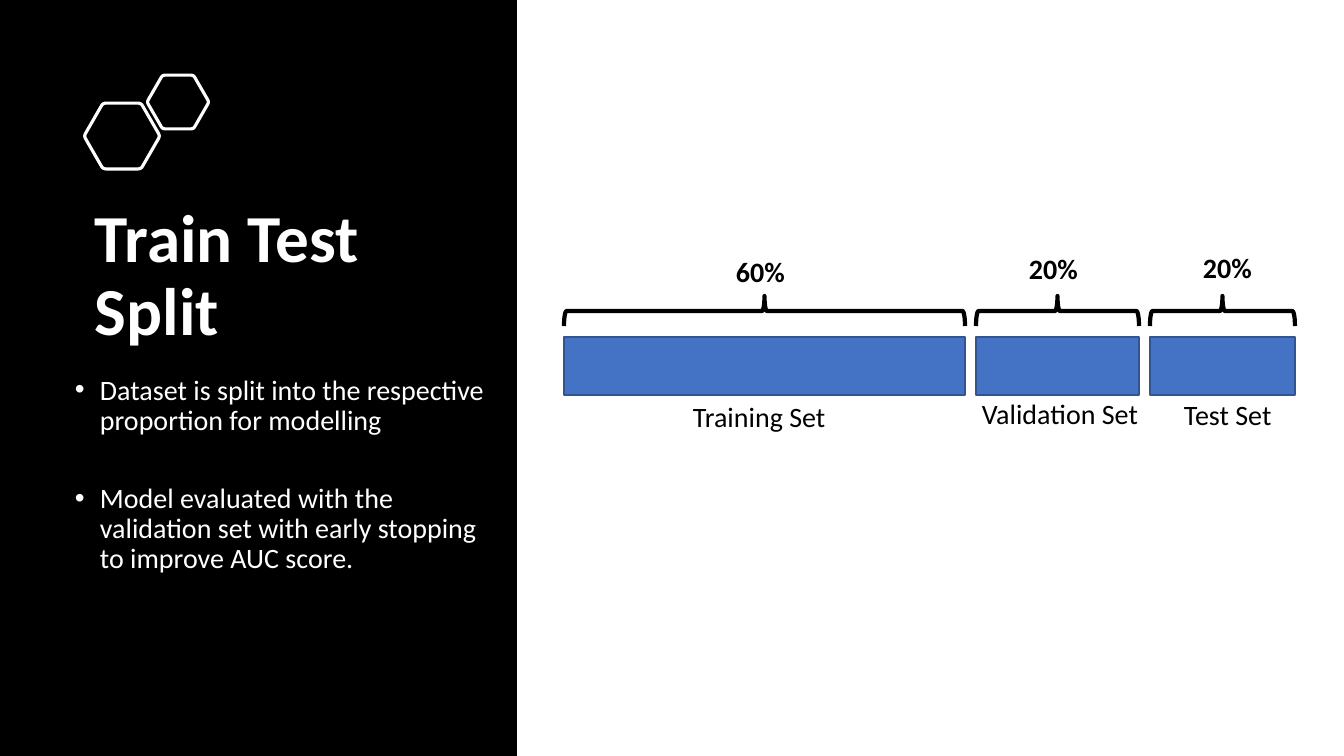
import math

from lxml import etree
from pptx import Presentation
from pptx import util as u
from pptx.dml.color import RGBColor
from pptx.enum import shapes, text
from pptx.oxml.ns import qn

# Content: all lengths in px
PX = 914400 / 100.8
TITLE = "Train Test Split"
BULLETS = [
    "Dataset is split into the respective proportion for modelling",
    "Model evaluated with the validation set with early stopping to improve AUC score.",
]
HEXAGONS = [(122, 136, 38), (178, 102, 31)]  # centre x, centre y, radius
# share, share left, share top, set name, name left, name top, name width, bar width
SPLITS = [
    ("60%", 726, 253, "Training Set", 683, 398, 163, 401),
    ("20%", 1019, 250, "Validation Set", 972, 395, 177, 163),
    ("20%", 1193, 249, "Test Set", 1174, 396, 122, 145),
]
BAR_LEFT, BAR_TOP, BAR_HEIGHT, BAR_GAP = 564, 337, 58, 11
BRACE_TOP, BRACE_DEPTH = 296, 30
LABEL_HEIGHT = 44
BLACK, WHITE, BLUE, DARK_BLUE = "000000", "FFFFFF", "4472C4", "325491"


def px(value):
    return u.Emu(round(value * PX))


def color(value):
    return RGBColor.from_string(value)


def style(shape, fill=None, line=None, weight=1):
    shape.shadow.inherit = False
    if fill:
        shape.fill.solid()
        shape.fill.fore_color.rgb = color(fill)
    else:
        shape.fill.background()
    if line:
        shape.line.color.rgb = color(line)
        shape.line.width = u.Pt(weight)
    else:
        shape.line.fill.background()


def add_shape(kind, left, top, width, height, **look):
    shape = slide.shapes.add_shape(kind, px(left), px(top), px(width), px(height))
    style(shape, **look)
    return shape


def add_text(lines, left, top, width, height, ink=BLACK, size=20, bold=False,
             after=6, bullet=False):
    box = slide.shapes.add_textbox(px(left), px(top), px(width), px(height))
    frame = box.text_frame
    frame.word_wrap = True
    frame.text = "\n".join(lines)
    for paragraph in frame.paragraphs:
        if bullet:
            properties = paragraph._p.get_or_add_pPr()
            properties.set("marL", str(px(31)))
            properties.set("indent", str(px(-25)))
            etree.SubElement(properties, qn("a:buFont")).set("typeface", "Arial")
            etree.SubElement(properties, qn("a:buChar")).set("char", "•")
        paragraph.line_spacing = 0.9
        paragraph.space_after = u.Pt(after)
        font = paragraph.font
        font.name, font.size, font.bold = "Calibri", u.Pt(size), bold
        font.color.rgb = color(ink)
    return frame


def add_hexagon(center_x, center_y, radius, cut=0.08, steps=4):
    corners = [(center_x + radius * math.cos(math.radians(60 * i)),
                center_y + radius * math.sin(math.radians(60 * i))) for i in range(6)]
    points = []
    for i, corner in enumerate(corners):
        before, after = corners[i - 1], corners[(i + 1) % 6]
        # Round each corner with a short quadratic curve
        for step in range(steps + 1):
            t = step / steps
            points.append(tuple(
                px(c + cut * ((1 - t) ** 2 * (b - c) + t ** 2 * (a - c)))
                for b, c, a in zip(before, corner, after)))
    builder = slide.shapes.build_freeform(*points[0])
    builder.add_line_segments(points[1:], close=True)
    style(builder.convert_to_shape(), line=WHITE, weight=2.25)


presentation = Presentation()
presentation.slide_width, presentation.slide_height = px(1344), px(756)
slide = presentation.slides.add_slide(presentation.slide_layouts[6])

# Left panel
add_shape(shapes.MSO_SHAPE.RECTANGLE, 0, 0, 517, 756, fill=BLACK)
for hexagon in HEXAGONS:
    add_hexagon(*hexagon)
title = add_text([TITLE], 85, 197, 395, 161, ink=WHITE, size=48, bold=True)
title.vertical_anchor = text.MSO_ANCHOR.MIDDLE
add_text(BULLETS, 59, 371, 445, 307, ink=WHITE, after=34, bullet=True)

# Split diagram: bar, brace turned upwards, share and name
left = BAR_LEFT
for share, share_left, share_top, name, name_left, name_top, name_width, width in SPLITS:
    add_shape(shapes.MSO_SHAPE.RECTANGLE, left, BAR_TOP, width, BAR_HEIGHT,
              fill=BLUE, line=DARK_BLUE)
    brace = add_shape(shapes.MSO_SHAPE.RIGHT_BRACE,
                      left + (width - BRACE_DEPTH) / 2,
                      BRACE_TOP + (BRACE_DEPTH - width) / 2,
                      BRACE_DEPTH, width, line=BLACK, weight=3)
    brace.rotation = 270
    add_text([share], share_left, share_top, 79, LABEL_HEIGHT, bold=True)
    add_text([name], name_left, name_top, name_width, LABEL_HEIGHT)
    left += width + BAR_GAP

presentation.save("out.pptx")
